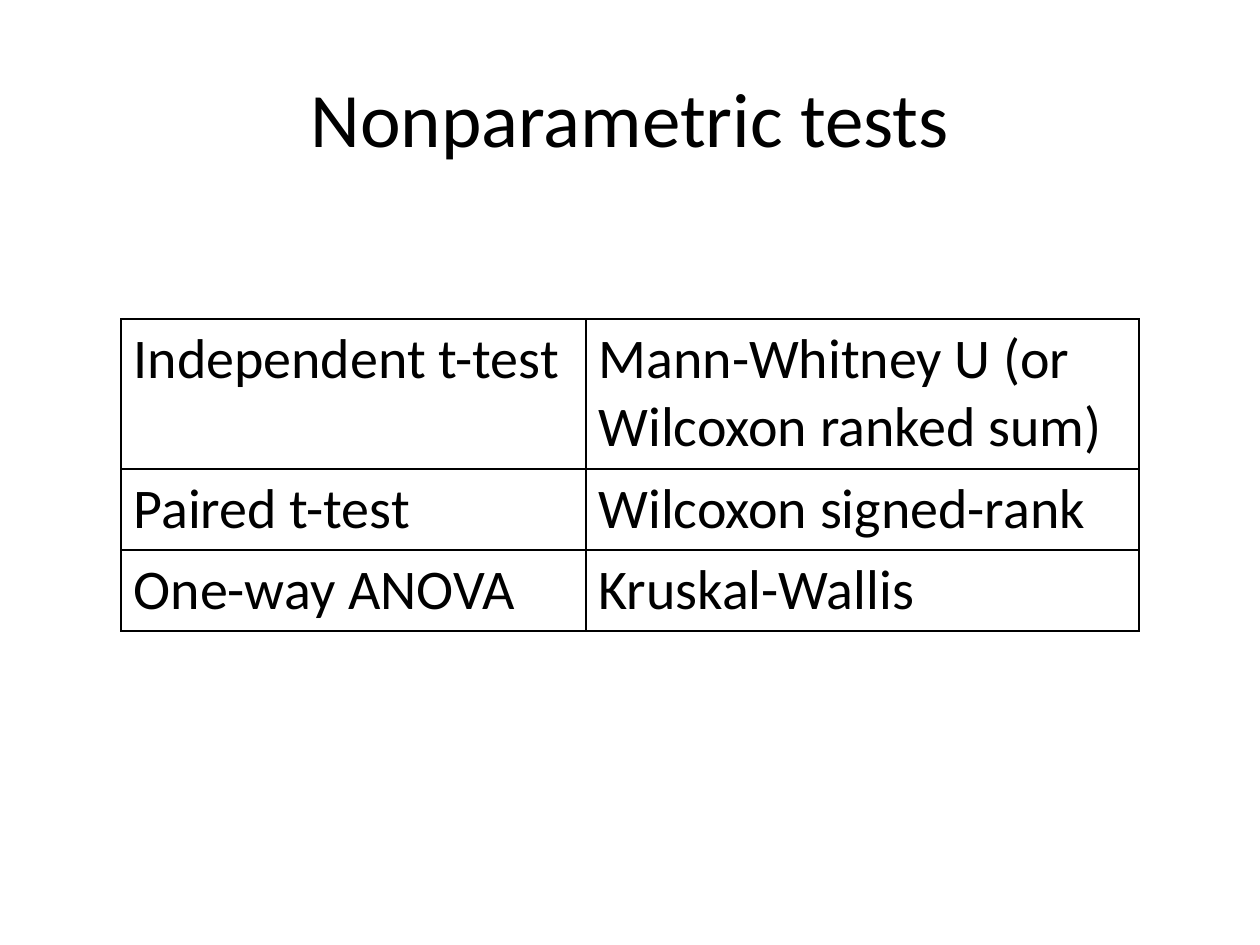
from lxml import etree
from pptx import Presentation
from pptx.dml.color import RGBColor
from pptx.enum import text
from pptx.oxml.ns import qn
from pptx.util import Pt

COLORS = {"ink": "000000", "paper": "FFFFFF"}
FONT = "Calibri"
TESTS = [
    ("Independent t-test", "Mann-Whitney U (or Wilcoxon ranked sum)"),
    ("Paired t-test", "Wilcoxon signed-rank"),
    ("One-way ANOVA", "Kruskal-Wallis"),
]
COLUMN_WIDTHS = [265.7, 316.1]
ROW_HEIGHTS = [85.7, 46.2, 46.2]


def write(frame, wording, size, align):
    frame.text = wording
    paragraph = frame.paragraphs[0]
    paragraph.alignment = align
    font = paragraph.runs[0].font
    font.name, font.size = FONT, Pt(size)
    font.color.rgb = RGBColor.from_string(COLORS["ink"])


def add_title(slide, wording):
    title = slide.shapes.title
    title.left, title.top, title.width, title.height = Pt(36), Pt(21.6), Pt(648), Pt(90)
    write(title.text_frame, wording, 44, text.PP_ALIGN.CENTER)
    title.text_frame.vertical_anchor = text.MSO_ANCHOR.MIDDLE


def outline(cell, width=1):
    """Draw all four borders; they must precede the fill in the cell XML."""
    properties = cell._tc.get_or_add_tcPr()
    for position, side in enumerate(("a:lnL", "a:lnR", "a:lnT", "a:lnB")):
        border = etree.Element(qn(side), w=str(Pt(width)))
        fill = etree.SubElement(border, qn("a:solidFill"))
        etree.SubElement(fill, qn("a:srgbClr"), val=COLORS["ink"])
        properties.insert(position, border)


def add_test_table(slide, left, top):
    table = slide.shapes.add_table(
        len(TESTS), len(COLUMN_WIDTHS), Pt(left), Pt(top),
        Pt(sum(COLUMN_WIDTHS)), Pt(sum(ROW_HEIGHTS))).table
    table.first_row = table.horz_banding = False
    for column, width in zip(table.columns, COLUMN_WIDTHS):
        column.width = Pt(width)
    for row, height, tests in zip(table.rows, ROW_HEIGHTS, TESTS):
        row.height = Pt(height)
        for cell, test in zip(row.cells, tests):
            write(cell.text_frame, test, 32, text.PP_ALIGN.LEFT)
            cell.fill.solid()
            cell.fill.fore_color.rgb = RGBColor.from_string(COLORS["paper"])
            outline(cell)


def main():
    deck = Presentation()
    deck.slide_width, deck.slide_height = Pt(720), Pt(540)
    slide = deck.slides.add_slide(deck.slide_layouts.get_by_name("Title Only"))
    add_title(slide, "Nonparametric tests")
    add_test_table(slide, 69.1, 182.2)
    deck.save("out.pptx")


if __name__ == "__main__":
    main()
